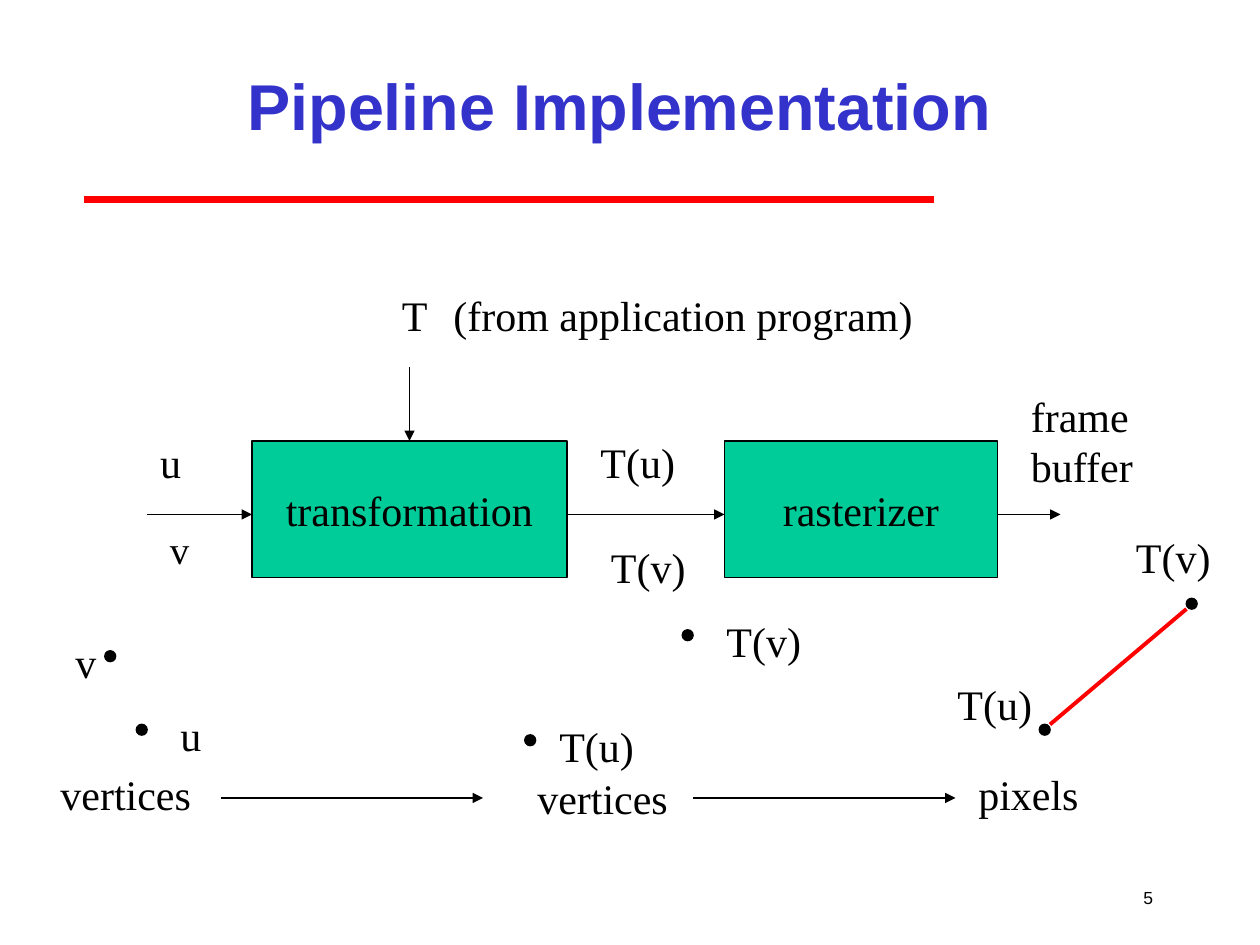
from dataclasses import dataclass

from lxml import etree
from pptx import Presentation
from pptx.dml.color import RGBColor
from pptx.enum import shapes, text
from pptx.oxml import ns
from pptx.util import Pt

COLORS = {"ink": "000000", "title": "3333CC", "rule": "FF0000", "box": "00CC99"}
SERIF, SANS = "Times New Roman", "Arial"
ALIGN, ANCHOR = text.PP_ALIGN, text.MSO_ANCHOR
DOT = 6  # diameter of a vertex


@dataclass
class Label:
    words: str
    left: float
    top: float
    width: float
    height: float = 36
    size: float = 24
    font: str = SERIF
    align: int = ALIGN.LEFT
    anchor: int = ANCHOR.TOP


@dataclass
class Box:
    words: str
    left: float
    top: float
    width: float
    height: float


@dataclass
class Line:
    x1: float
    y1: float
    x2: float
    y2: float
    color: str = "ink"
    weight: float = 1
    arrow: bool = True


def tint(name: str) -> RGBColor:
    return RGBColor.from_string(COLORS[name])


def write(frame, words: str, size: float, font: str = SERIF, color: str = "ink",
          bold: bool = False, align: int = ALIGN.LEFT, anchor: int = ANCHOR.TOP) -> None:
    """Fill a text frame, one paragraph for each line of words."""
    frame.auto_size = text.MSO_AUTO_SIZE.NONE
    frame.vertical_anchor = anchor
    for i, part in enumerate(words.split("\n")):
        para = frame.add_paragraph() if i else frame.paragraphs[0]
        para.alignment = align
        run = para.add_run()
        run.text = part
        run.font.size = Pt(size)
        run.font.name = font
        run.font.bold = bold
        run.font.color.rgb = tint(color)


def add_label(slide, item: Label):
    area = slide.shapes.add_textbox(
        Pt(item.left), Pt(item.top), Pt(item.width), Pt(item.height))
    area.text_frame.word_wrap = False
    write(area.text_frame, item.words, item.size, item.font,
          align=item.align, anchor=item.anchor)
    return area


def add_solid(slide, kind: int, left: float, top: float, width: float,
              height: float, fill: str):
    solid = slide.shapes.add_shape(kind, Pt(left), Pt(top), Pt(width), Pt(height))
    solid.shadow.inherit = False
    solid.fill.solid()
    solid.fill.fore_color.rgb = tint(fill)
    solid.line.color.rgb = tint("ink")
    solid.line.width = Pt(1)
    return solid


def add_box(slide, item: Box) -> None:
    solid = add_solid(slide, shapes.MSO_SHAPE.RECTANGLE, item.left, item.top,
                      item.width, item.height, "box")
    solid.text_frame.word_wrap = False
    write(solid.text_frame, item.words, 24, align=ALIGN.CENTER, anchor=ANCHOR.MIDDLE)


def add_line(slide, item: Line) -> None:
    line = slide.shapes.add_connector(
        shapes.MSO_CONNECTOR.STRAIGHT,
        Pt(item.x1), Pt(item.y1), Pt(item.x2), Pt(item.y2))
    line.line.color.rgb = tint(item.color)
    line.line.width = Pt(item.weight)
    if item.arrow:
        etree.SubElement(line.line._get_or_add_ln(), ns.qn("a:tailEnd"), type="triangle")
    etree.SubElement(line._element.spPr, ns.qn("a:effectLst"))


MID, FLOW = 294, 456  # heights of the pipeline and of the lower flow

BOXES = [
    Box("transformation", 144, 252, 180, 78),
    Box("rasterizer", 414, 252, 156, 78),
]
LINES = [
    Line(48, 114, 534, 114, "rule", 4, False),
    Line(84, MID, 144, MID),
    Line(324, MID, 414, MID),
    Line(570, MID, 606, MID),
    Line(234, 210, 234, 252),
    Line(126, FLOW, 276, FLOW),
    Line(396, FLOW, 546, FLOW),
    Line(600, 414, 678, 348, "rule", 2.25, False),
]
DOTS = [(60, 372), (78, 414), (300, 420), (390, 360), (594, 414), (678, 342)]
LABELS = [
    # Pipeline
    Label("T", 222.5, 162, 29),
    Label("(from application program)", 252, 162, 276.5),
    Label(" u", 78.5, 246, 32.5),
    Label("T(u)", 336, 246, 57),
    Label("T(v)", 342, 306, 57),
    Label("frame\nbuffer", 582, 219.5, 73, 65),
    # Vertices and pixels
    Label(" v", 30, 360, 32.5),
    Label(" u", 90, 402, 32.5),
    Label("T(u)", 312.5, 408, 57),
    Label("T(v)", 408, 348, 57),
    Label("T(u)", 540, 384, 57),
    Label("T(v)", 642, 300, 57),
    Label("vertices", 27.5, 435.5, 88.5),
    Label("vertices", 300, 438, 88.5),
    Label("pixels", 552, 435.5, 71.5),
    # Slide number
    Label("5", 636, 498, 30, 30, 10, SANS, ALIGN.RIGHT, ANCHOR.MIDDLE),
]


def main() -> None:
    deck = Presentation()
    deck.slide_width, deck.slide_height = Pt(720), Pt(540)
    slide = deck.slides.add_slide(deck.slide_layouts[5])

    # Title
    title = slide.shapes.title
    title.left, title.top, title.width, title.height = Pt(108), Pt(18), Pt(492), Pt(84)
    write(title.text_frame, "Pipeline Implementation", 37, SANS, "title", True,
          ALIGN.CENTER, ANCHOR.MIDDLE)

    # Diagram
    for box in BOXES:
        add_box(slide, box)
    for line in LINES:
        add_line(slide, line)
    for left, top in DOTS:
        add_solid(slide, shapes.MSO_SHAPE.OVAL, left, top, DOT, DOT, "ink")
    for label in LABELS:
        add_label(slide, label)

    # Second input, set a little tighter than the other labels
    lower = add_label(slide, Label("v", 90, 300, 42, size=22.2))
    lower.text_frame.word_wrap = True
    lower.text_frame.paragraphs[0].line_spacing = 0.9

    deck.save("out.pptx")


if __name__ == "__main__":
    main()
